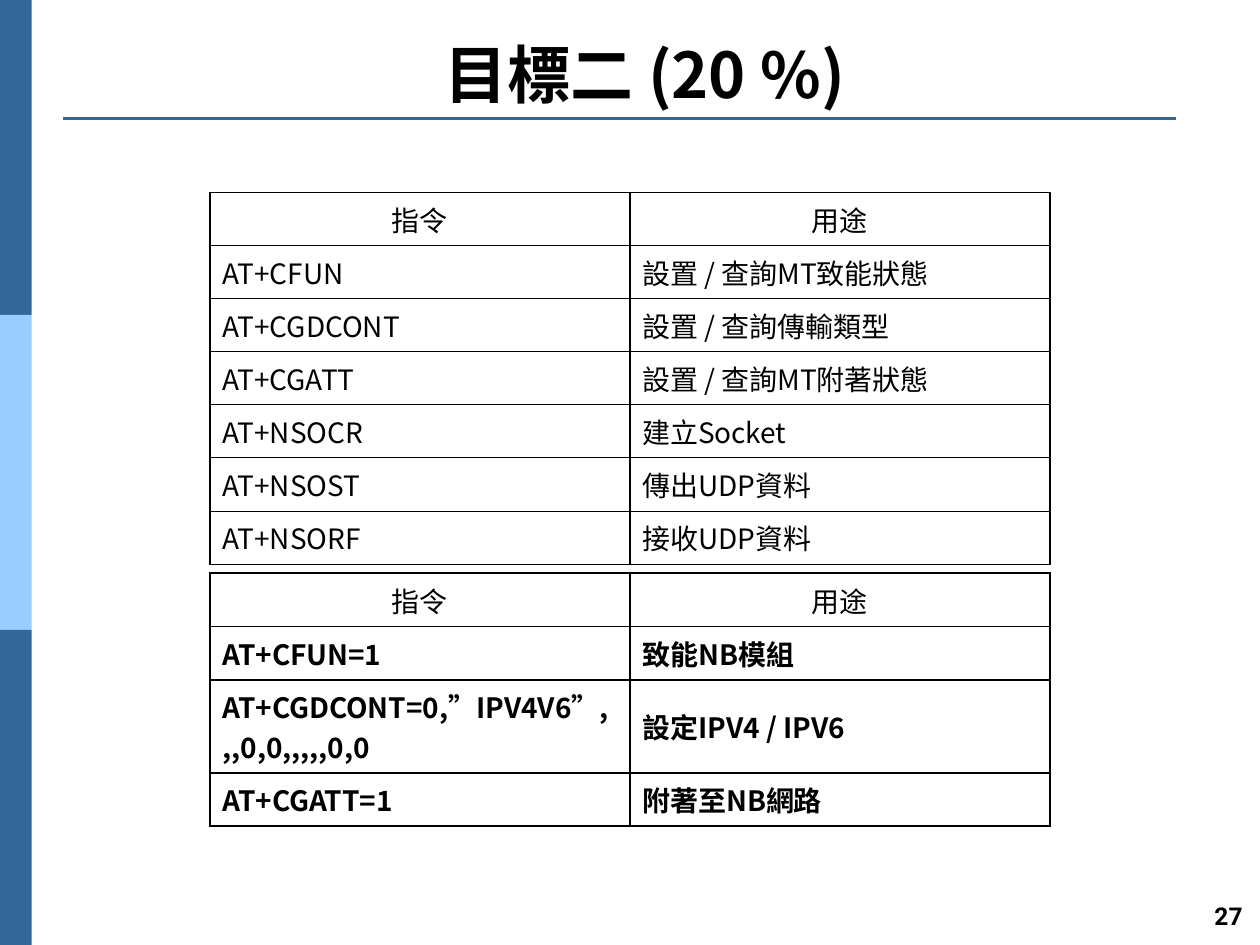
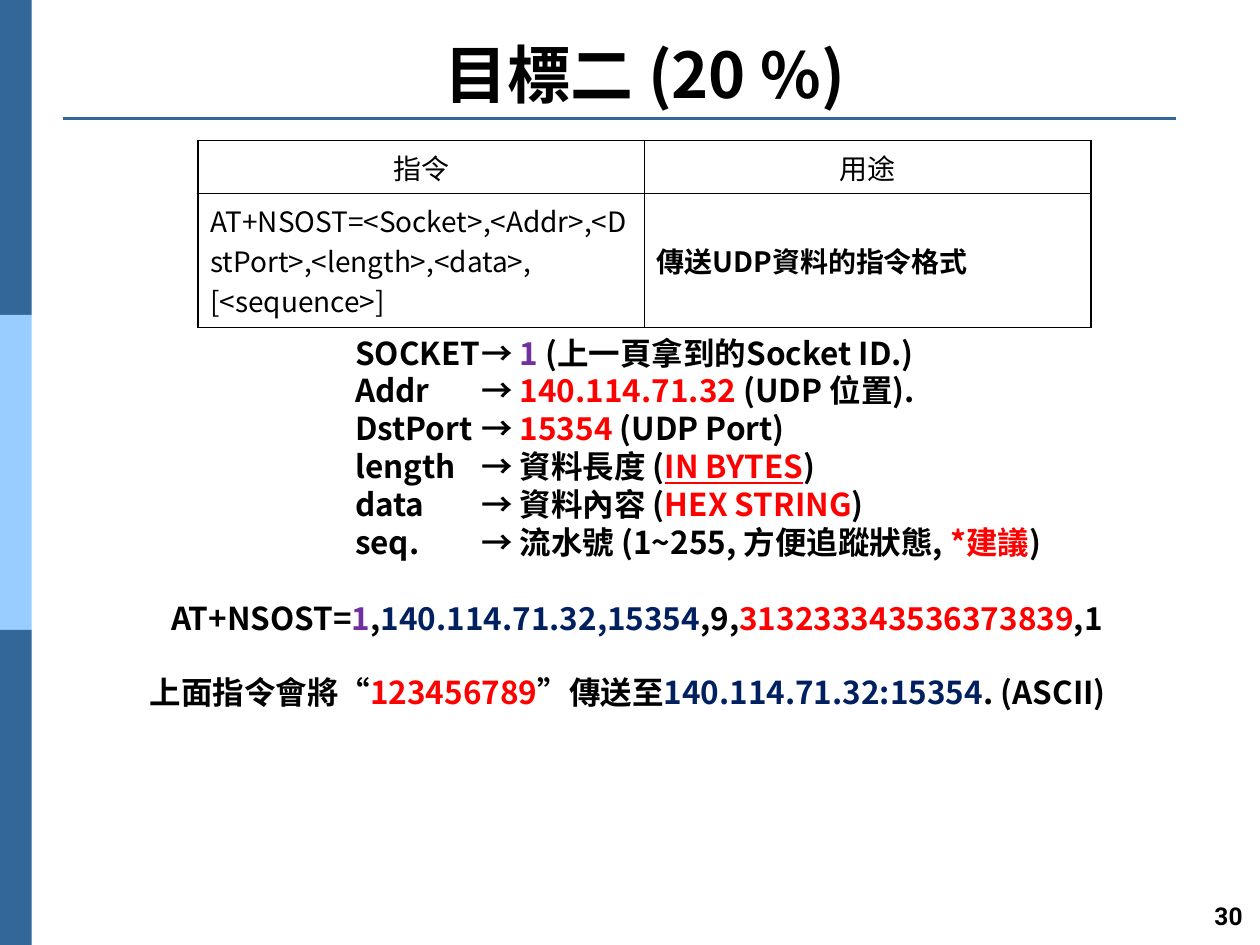
from collections import namedtuple

from lxml.etree import SubElement
from pptx import Presentation
from pptx.dml.color import RGBColor
from pptx.enum.shapes import MSO_CONNECTOR, MSO_SHAPE
from pptx.enum.text import MSO_ANCHOR, PP_ALIGN
from pptx.oxml.ns import qn
from pptx.util import Cm, Pt

BLACK = RGBColor(0x00, 0x00, 0x00)
WHITE = RGBColor(0xFF, 0xFF, 0xFF)
STEEL = RGBColor(0x33, 0x66, 0x99)
SKY = RGBColor(0x99, 0xCC, 0xFF)
RED = RGBColor(0xFF, 0x00, 0x00)
PURPLE = RGBColor(0x70, 0x30, 0xA0)
NAVY = RGBColor(0x00, 0x20, 0x60)

Box = namedtuple("Box", "left top width height")
Rules = namedtuple("Rules", "horizontal inner outer")
Entry = namedtuple("Entry", "command purpose line_count", defaults=(1,))

PAGE = Box(0, 0, Cm(25.4), Cm(19.05))
TITLE_FORMAT = {"name": "Noto Sans CJK TC", "size": Pt(36), "bold": True}
NUMBER_FORMAT = {"name": "Roboto", "size": Pt(14), "bold": True}
CELL_FORMAT = {"name": "Noto Sans CJK SC", "size": Pt(16), "bold": False}
NOTE_FORMAT = {"name": "Noto Sans CJK SC", "size": Pt(18), "bold": True}
PLAIN_TABLE = {"first_row": False, "horz_banding": False}
CELL_LINE = Cm(0.81)
CELL_PADDING = Cm(0.26)
HEADINGS = Entry("指令", "用途")

COMMANDS = [
    Entry("AT+CFUN", "設置 / 查詢MT致能狀態"),
    Entry("AT+CGDCONT", "設置 / 查詢傳輸類型"),
    Entry("AT+CGATT", "設置 / 查詢MT附著狀態"),
    Entry("AT+NSOCR", "建立Socket"),
    Entry("AT+NSOST", "傳出UDP資料"),
    Entry("AT+NSORF", "接收UDP資料"),
]
SETUP_STEPS = [
    Entry("AT+CFUN=1", "致能NB模組"),
    Entry("AT+CGDCONT=0,”IPV4V6”,,,0,0,,,,,0,0", "設定IPV4 / IPV6", 2),
    Entry("AT+CGATT=1", "附著至NB網路"),
]
SEND_FORMAT = [
    Entry("AT+NSOST=<Socket>,<Addr>,<DstPort>,<length>,<data>,\n[<sequence>]",
          "傳送UDP資料的指令格式", 3),
]
PARAMETERS = [
    [("SOCKET\t→ ", BLACK), ("1", PURPLE), (" (上一頁拿到的Socket ID.)", BLACK)],
    [("Addr\t→ ", BLACK), ("140.114.71.32", RED), (" (UDP 位置).", BLACK)],
    [("DstPort\t→ ", BLACK), ("15354", RED), (" (UDP Port)", BLACK)],
    [("length\t→ 資料長度 (", BLACK), ("IN BYTES", RED, True), (")", BLACK)],
    [("data\t→ 資料內容 (", BLACK), ("HEX STRING", RED), (")", BLACK)],
    [("seq.\t→ 流水號 (1~255, 方便追蹤狀態, ", BLACK), ("*建議", RED), (")", BLACK)],
]
EXAMPLE = [
    [("AT+NSOST=", BLACK), ("1", PURPLE), (",", BLACK),
     ("140.114.71.32,15354", NAVY), (",9,", BLACK),
     ("313233343536373839", RED), (",1", BLACK)],
]
RESULT = [
    [("上面指令會將“", BLACK), ("123456789", RED), ("”傳送至", BLACK),
     ("140.114.71.32:15354", NAVY), (". (ASCII)", BLACK)],
]


def set_all(target, values):
    for key, value in values.items():
        setattr(target, key, value)


def style_run(run, font_format, color=BLACK, underline=False):
    set_all(run.font, font_format)
    run.font.color.rgb = color
    if underline:
        run.font.underline = True
    east_asian = SubElement(run.font._element, qn("a:ea"))
    east_asian.set("typeface", font_format["name"])


def add_lines(slide, box, lines, font_format, paragraph_format, frame_format=None):
    frame = slide.shapes.add_textbox(*box).text_frame
    set_all(frame, {"word_wrap": True, **(frame_format or {})})
    for index, line in enumerate(lines):
        paragraph = frame.add_paragraph() if index else frame.paragraphs[0]
        set_all(paragraph, paragraph_format)
        for text, *look in line:
            run = paragraph.add_run()
            run.text = text
            style_run(run, font_format, *look)


def add_side_band(slide, box):
    part_height = box.height // 3
    for index, color in enumerate((STEEL, SKY, STEEL)):
        part = slide.shapes.add_shape(
            MSO_SHAPE.RECTANGLE, box.left, box.top + index * part_height,
            box.width, part_height)
        part.shadow.inherit = False
        part.fill.solid()
        part.fill.fore_color.rgb = color
        part.line.fill.background()


def add_heading(slide, box, title):
    add_lines(slide, box, [[(title, BLACK)]], TITLE_FORMAT,
              {"alignment": PP_ALIGN.CENTER},
              {"vertical_anchor": MSO_ANCHOR.BOTTOM, "margin_bottom": Cm(0.11)})
    rule_top = box.top + box.height + Cm(0.03)
    rule_left = box.left - Cm(0.3)
    rule = slide.shapes.add_connector(
        MSO_CONNECTOR.STRAIGHT, rule_left, rule_top,
        rule_left + Cm(22.43), rule_top)
    rule.line.width = Pt(1.5)
    rule.line.color.rgb = STEEL
    SubElement(rule._element.spPr, qn("a:effectLst"))


def add_frame(slide, box, title, number):
    slide.background.fill.solid()
    slide.background.fill.fore_color.rgb = WHITE
    add_side_band(slide, Box(box.left, box.top, Cm(0.64), box.height))
    add_heading(slide, Box(box.left + Cm(1.57), box.top + Cm(0.76),
                           Cm(22.86), Cm(1.6)), title)
    add_lines(slide, Box(box.left + Cm(12.37), box.top + Cm(18.03),
                         Cm(12.93), Cm(0.86)),
              [[(number, BLACK)]], NUMBER_FORMAT, {"alignment": PP_ALIGN.RIGHT})


def draw_borders(cell, widths):
    properties = cell._tc.get_or_add_tcPr()
    for index, (edge, width) in enumerate(widths.items()):
        border = SubElement(properties, qn(f"a:{edge}"), w=str(Pt(width)))
        paint = SubElement(SubElement(border, qn("a:solidFill")), qn("a:srgbClr"))
        paint.set("val", str(BLACK))
        properties.insert(index, border)


def add_command_table(slide, box, entries, rules, bold_columns=()):
    rows = [HEADINGS, *entries]
    table = slide.shapes.add_table(len(rows), 2, *box).table
    set_all(table, PLAIN_TABLE)
    for row_index, entry in enumerate(rows):
        table.rows[row_index].height = CELL_PADDING + entry.line_count * CELL_LINE
        for column, text in enumerate((entry.command, entry.purpose)):
            cell = table.cell(row_index, column)
            cell.vertical_anchor = MSO_ANCHOR.MIDDLE
            cell.fill.background()
            draw_borders(cell, {
                "lnL": rules.inner if column else rules.outer,
                "lnR": rules.outer if column else rules.inner,
                "lnT": rules.horizontal,
                "lnB": rules.horizontal,
            })
            cell.text_frame.text = text
            is_bold = row_index > 0 and column in bold_columns
            for paragraph in cell.text_frame.paragraphs:
                paragraph.alignment = PP_ALIGN.LEFT if row_index else PP_ALIGN.CENTER
                for run in paragraph.runs:
                    style_run(run, {**CELL_FORMAT, "bold": is_bold})


def add_notes_block(slide, box, lines):
    add_lines(slide, box, lines, NOTE_FORMAT, {"line_spacing": Pt(21.6)})


def build_overview(slide, box):
    add_frame(slide, box, "目標二 (20 %)", "27")
    left, width = box.left + Cm(4.23), Cm(16.93)
    add_command_table(slide, Box(left, box.top + Cm(3.88), width, Cm(7.49)),
                      COMMANDS, Rules(0.5, 1.25, 1.25))
    add_command_table(slide, Box(left, box.top + Cm(11.56), width, Cm(5.09)),
                      SETUP_STEPS, Rules(1.25, 1.25, 1.25), (0, 1))


def build_sending(slide, box):
    add_frame(slide, box, "目標二 (20 %)", "30")
    add_command_table(slide, Box(box.left + Cm(3.99), box.top + Cm(2.83),
                                 Cm(18), Cm(3.76)),
                      SEND_FORMAT, Rules(0.5, 0.5, 1), (1,))
    add_notes_block(slide, Box(box.left + Cm(6.91), box.top + Cm(6.6),
                               Cm(14.5), Cm(4.88)), PARAMETERS)
    add_notes_block(slide, Box(box.left + Cm(3.2), box.top + Cm(11.96),
                               Cm(19.56), Cm(1.02)), EXAMPLE)
    add_notes_block(slide, Box(box.left + Cm(2.77), box.top + Cm(13.44),
                               Cm(19.86), Cm(1.02)), RESULT)


def main():
    deck = Presentation()
    set_all(deck, {"slide_width": PAGE.width, "slide_height": PAGE.height})
    for build in (build_overview, build_sending):
        build(deck.slides.add_slide(deck.slide_layouts[6]), PAGE)
    deck.save("out.pptx")


if __name__ == "__main__":
    main()
